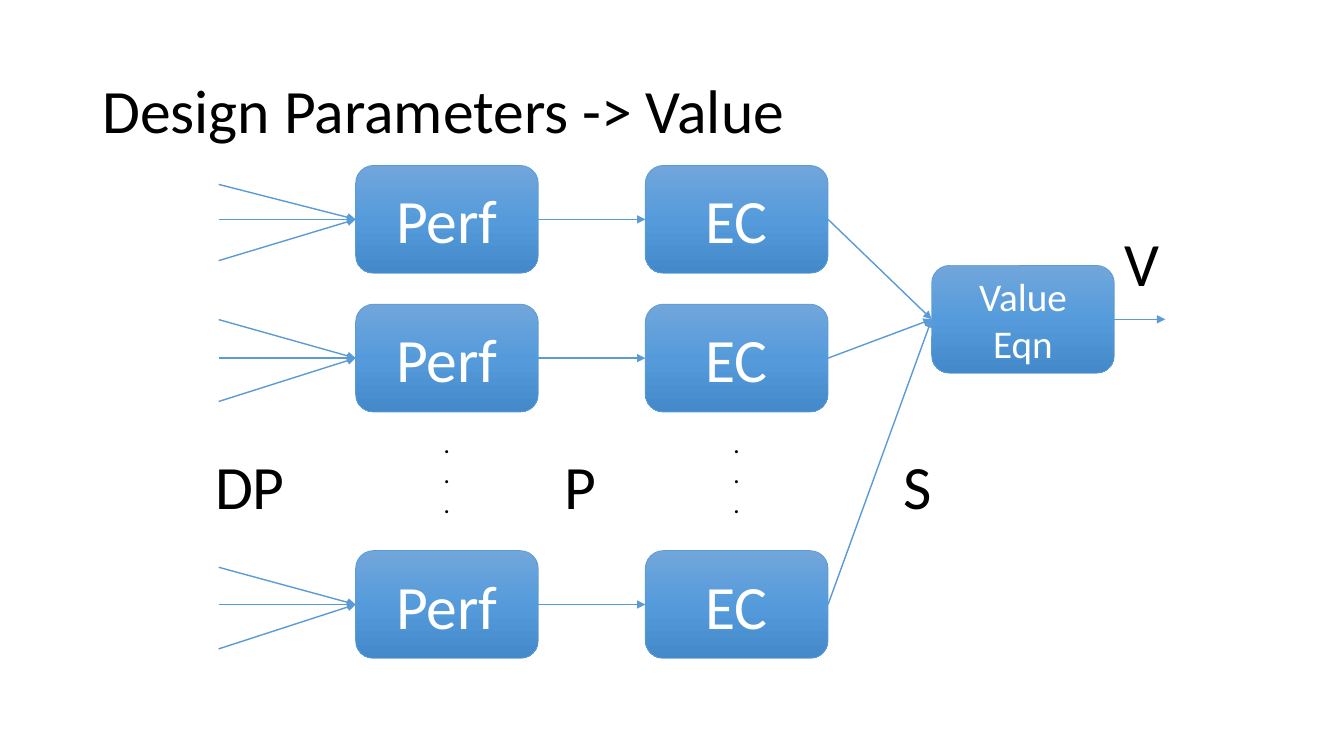
from copy import deepcopy

from lxml.etree import SubElement
from pptx import Presentation
from pptx.dml.color import RGBColor
from pptx.enum.shapes import MSO_CONNECTOR, MSO_SHAPE
from pptx.enum.text import MSO_ANCHOR, MSO_AUTO_SIZE, PP_ALIGN
from pptx.oxml.ns import qn
from pptx.util import Pt

COLORS = {
    "text": "000000",
    "box_text": "FFFFFF",
    "line": "5B9BD5",
    "top": "71A6DB",
    "middle": "559BDB",
    "bottom": "448ACA",
}
BOX_WIDTH, BOX_HEIGHT = 130.5, 77
PERF_LEFT, EC_LEFT, INPUT_LEFT = 254, 461, 156.2
ROWS = [(118.2, -25, 29.5), (217.3, -27.5, 31), (393.3, -26.6, 31.7)]


def write_text(shape, text, size=44, color="text", align=PP_ALIGN.LEFT,
               anchor=MSO_ANCHOR.TOP, wrap=True, spacing=None):
    frame = shape.text_frame
    frame.text = text
    frame.word_wrap = wrap
    frame.vertical_anchor = anchor
    if not wrap:
        frame.auto_size = MSO_AUTO_SIZE.SHAPE_TO_FIT_TEXT
    for paragraph in frame.paragraphs:
        paragraph.alignment = align
        paragraph.line_spacing = spacing
        paragraph.font.name = "Calibri"
        paragraph.font.size = Pt(size)
        paragraph.font.color.rgb = RGBColor.from_string(COLORS[color])


presentation = Presentation()
presentation.slide_width, presentation.slide_height = Pt(960), Pt(540)
slide = presentation.slides.add_slide(presentation.slide_layouts[6])
shapes = slide.shapes

title = shapes.add_textbox(Pt(66), Pt(28.75), Pt(828), Pt(104.4))
write_text(title, "Design Parameters -> Value", anchor=MSO_ANCHOR.MIDDLE, spacing=0.9)

box_places = [("Value Eqn", 665.5, 189.6, 28)]
for top, _, _ in ROWS:
    box_places += [("Perf", PERF_LEFT, top, 44), ("EC", EC_LEFT, top, 44)]

boxes = []
for text, left, top, size in box_places:
    box = shapes.add_shape(MSO_SHAPE.ROUNDED_RECTANGLE, Pt(left), Pt(top),
                           Pt(BOX_WIDTH), Pt(BOX_HEIGHT))
    box.shadow.inherit = False
    box.fill.gradient()
    box.fill.gradient_angle = 270
    stop_list = box._element.spPr.find(qn("a:gradFill")).find(qn("a:gsLst"))
    stop_list.insert(1, deepcopy(stop_list[0]))
    for stop, position, name in zip(box.fill.gradient_stops, (0, 0.5, 1),
                                    ("top", "middle", "bottom")):
        stop.position = position
        stop.color.rgb = RGBColor.from_string(COLORS[name])
    box.line.color.rgb = RGBColor.from_string(COLORS["line"])
    box.line.width = Pt(0.5)
    write_text(box, text, size, "box_text", PP_ALIGN.CENTER, MSO_ANCHOR.MIDDLE)
    boxes.append(box)

value_box, perf_boxes, ec_boxes = boxes[0], boxes[1::2], boxes[2::2]

arrows = []
for (top, above, below), perf, ec in zip(ROWS, perf_boxes, ec_boxes):
    center = top + BOX_HEIGHT / 2
    arrows += [((INPUT_LEFT, center + shift), None, perf) for shift in (above, 0, below)]
    arrows += [((0, 0), perf, ec), ((0, 0), ec, value_box)]
arrows.append(((0, 0), value_box, None))

for (x, y), source, target in arrows:
    arrow = shapes.add_connector(MSO_CONNECTOR.STRAIGHT, Pt(x), Pt(y), Pt(832.3), Pt(228.1))
    if source is not None:
        arrow.begin_connect(source, 3)
    if target is not None:
        arrow.end_connect(target, 1)
    arrow.line.color.rgb = RGBColor.from_string(COLORS["line"])
    arrow.line.width = Pt(1)
    SubElement(arrow.line._get_or_add_ln(), qn("a:tailEnd"), type="triangle")
    SubElement(arrow._element.spPr, qn("a:effectLst"))

labels = [
    ("V", 796, 157, 39.6, 60.6, 44),
    ("DP", 146.5, 316.3, 65, 60.6, 44),
    ("P", 396, 316.3, 37.4, 60.6, 44),
    ("S", 638.6, 316.3, 35.3, 60.6, 44),
    (".\n.\n.", 309.8, 302.3, 19.4, 72.7, 18),
    (".\n.\n.", 516.8, 302.3, 19.4, 72.7, 18),
]
for text, left, top, width, height, size in labels:
    label = shapes.add_textbox(Pt(left), Pt(top), Pt(width), Pt(height))
    write_text(label, text, size, wrap=False)

presentation.save("out.pptx")
